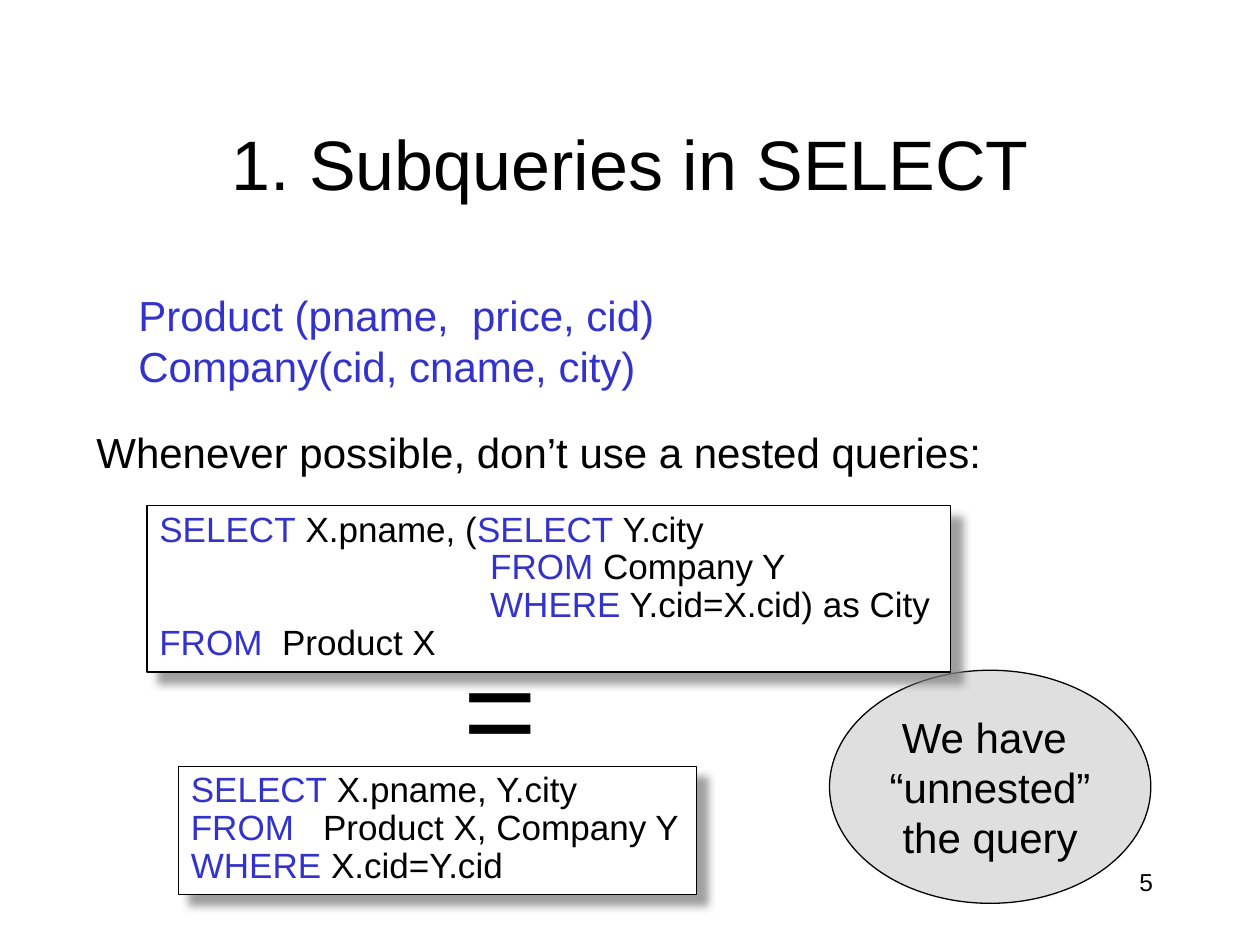
from dataclasses import dataclass

from lxml.etree import SubElement
from pptx import Presentation
from pptx.dml.color import RGBColor
from pptx.enum.shapes import MSO_SHAPE
from pptx.enum.text import MSO_ANCHOR, PP_ALIGN
from pptx.oxml.ns import qn
from pptx.shapes.autoshape import Shape
from pptx.slide import Slide
from pptx.util import Pt


@dataclass(frozen=True)
class Theme:
    font: str = "Arial"
    ink: str = "000000"
    accent: str = "3333CC"
    paper: str = "FFFFFF"
    bubble: str = "C0C0C0"
    shade: str = "808080"
    title: int = 40
    body: int = 24
    code: int = 20
    symbol: int = 72
    page: int = 14
    outline: float = 0.75


@dataclass(frozen=True)
class Box:
    left: float
    top: float
    width: float
    height: float

    def lengths(self) -> tuple[Pt, Pt, Pt, Pt]:
        return Pt(self.left), Pt(self.top), Pt(self.width), Pt(self.height)


@dataclass(frozen=True)
class Line:
    text: str
    indent: float = 0
    tab: float = 0


@dataclass(frozen=True)
class Label:
    box: Box
    lines: tuple[Line, ...]
    size: int
    color: str
    align: PP_ALIGN = PP_ALIGN.LEFT
    anchor: MSO_ANCHOR = MSO_ANCHOR.TOP


@dataclass(frozen=True)
class Query:
    box: Box
    lines: tuple[Line, ...]


THEME = Theme()
KEYWORDS = ("SELECT", "FROM", "WHERE")
SUBQUERY_INDENT = 189


def write_text(shape: Shape, lines: tuple[Line, ...], *, size: int,
               color: str = THEME.ink, keyword_color: str | None = None,
               align: PP_ALIGN = PP_ALIGN.LEFT,
               anchor: MSO_ANCHOR = MSO_ANCHOR.TOP,
               spacing: float = 1.0, wrap: bool = True) -> None:
    frame = shape.text_frame
    frame.word_wrap = wrap
    frame.vertical_anchor = anchor
    for index, line in enumerate(lines):
        paragraph = frame.add_paragraph() if index else frame.paragraphs[0]
        paragraph.alignment = align
        paragraph.line_spacing = spacing
        properties = paragraph._p.get_or_add_pPr()
        if line.indent:
            properties.set("marL", str(Pt(line.indent)))
            properties.set("indent", "0")
        if line.tab:
            stops = SubElement(properties, qn("a:tabLst"))
            SubElement(stops, qn("a:tab"), pos=str(Pt(line.tab)), algn="l")
        for piece in split_keywords(line.text) if keyword_color else [line.text]:
            run = paragraph.add_run()
            run.text = piece
            run.font.name = THEME.font
            run.font.size = Pt(size)
            marked = keyword_color and piece in KEYWORDS
            run.font.color.rgb = RGBColor.from_string(keyword_color if marked else color)


def split_keywords(text: str) -> list[str]:
    pieces = [text]
    for keyword in KEYWORDS:
        divided = []
        for piece in pieces:
            before, found, after = piece.partition(keyword)
            while found:
                divided += [before, found]
                before, found, after = after.partition(keyword)
            divided.append(before)
        pieces = divided
    return [piece for piece in pieces if piece]


def add_panel(slide: Slide, kind: MSO_SHAPE, box: Box, fill: str) -> Shape:
    panel = slide.shapes.add_shape(kind, *box.lengths())
    panel.shadow.inherit = False
    panel.fill.solid()
    panel.fill.fore_color.rgb = RGBColor.from_string(fill)
    panel.line.color.rgb = RGBColor.from_string(THEME.ink)
    panel.line.width = Pt(THEME.outline)
    return panel


def add_label(slide: Slide, label: Label) -> None:
    textbox = slide.shapes.add_textbox(*label.box.lengths())
    write_text(textbox, label.lines, size=label.size, color=label.color,
               align=label.align, anchor=label.anchor)


def add_query(slide: Slide, query: Query) -> None:
    panel = add_panel(slide, MSO_SHAPE.RECTANGLE, query.box, THEME.paper)
    effects = panel._element.spPr.find(qn("a:effectLst"))
    shadow = SubElement(effects, qn("a:outerShdw"), blurRad=str(Pt(5)),
                        dist=str(Pt(8.5)), dir="2700000", algn="ctr", rotWithShape="0")
    shade = SubElement(shadow, qn("a:srgbClr"), val=THEME.shade)
    SubElement(shade, qn("a:alpha"), val="75000")
    write_text(panel, query.lines, size=THEME.code, keyword_color=THEME.accent, spacing=0.9)


def add_remark(slide: Slide, box: Box, lines: tuple[Line, ...]) -> None:
    bubble = add_panel(slide, MSO_SHAPE.OVAL, box, THEME.bubble)
    tint = bubble._element.spPr.find(qn("a:solidFill")).find(qn("a:srgbClr"))
    SubElement(tint, qn("a:alpha"), val="50000")
    write_text(bubble, lines, size=THEME.body, align=PP_ALIGN.CENTER,
               anchor=MSO_ANCHOR.MIDDLE, wrap=False)


HEADINGS = (
    Label(Box(54, 48, 612, 90), (Line("1. Subqueries in SELECT"),),
          THEME.title, THEME.ink, PP_ALIGN.CENTER, MSO_ANCHOR.MIDDLE),
    Label(Box(48, 240, 525, 36), (Line("Whenever possible, don’t use a nested queries:"),),
          THEME.body, THEME.ink),
)
UNNESTED = Query(Box(102, 438, 296, 73.2), (
    Line("SELECT X.pname, Y.city"),
    Line("FROM\tProduct X, Company Y", tab=75.6),
    Line("WHERE X.cid=Y.cid"),
))
EQUALS = Label(Box(258, 356.4, 57, 94.5), (Line("="),), THEME.symbol, THEME.ink)
REMARK_BOX = Box(474, 383, 183.6, 133.2)
REMARK = (Line("We have "), Line("“unnested”"), Line("the query"))
SCHEMA = Label(Box(72, 162, 312.5, 65.5),
               (Line("Product (pname,  price, cid)"), Line("Company(cid, cname, city)")),
               THEME.body, THEME.accent)
NESTED = Query(Box(84, 289, 459, 95), (
    Line("SELECT X.pname, (SELECT Y.city"),
    Line("FROM Company Y", indent=SUBQUERY_INDENT),
    Line("WHERE Y.cid=X.cid) as City", indent=SUBQUERY_INDENT),
    Line("FROM  Product X"),
))
PAGE = Label(Box(516, 492, 150, 36), (Line("5"),), THEME.page, THEME.ink, PP_ALIGN.RIGHT)


def main() -> None:
    deck = Presentation()
    deck.slide_width, deck.slide_height = Pt(720), Pt(540)
    slide = deck.slides.add_slide(deck.slide_layouts[6])
    for heading in HEADINGS:
        add_label(slide, heading)
    add_query(slide, UNNESTED)
    add_label(slide, EQUALS)
    add_remark(slide, REMARK_BOX, REMARK)
    add_label(slide, SCHEMA)
    add_query(slide, NESTED)
    add_label(slide, PAGE)
    deck.save("out.pptx")


main()
